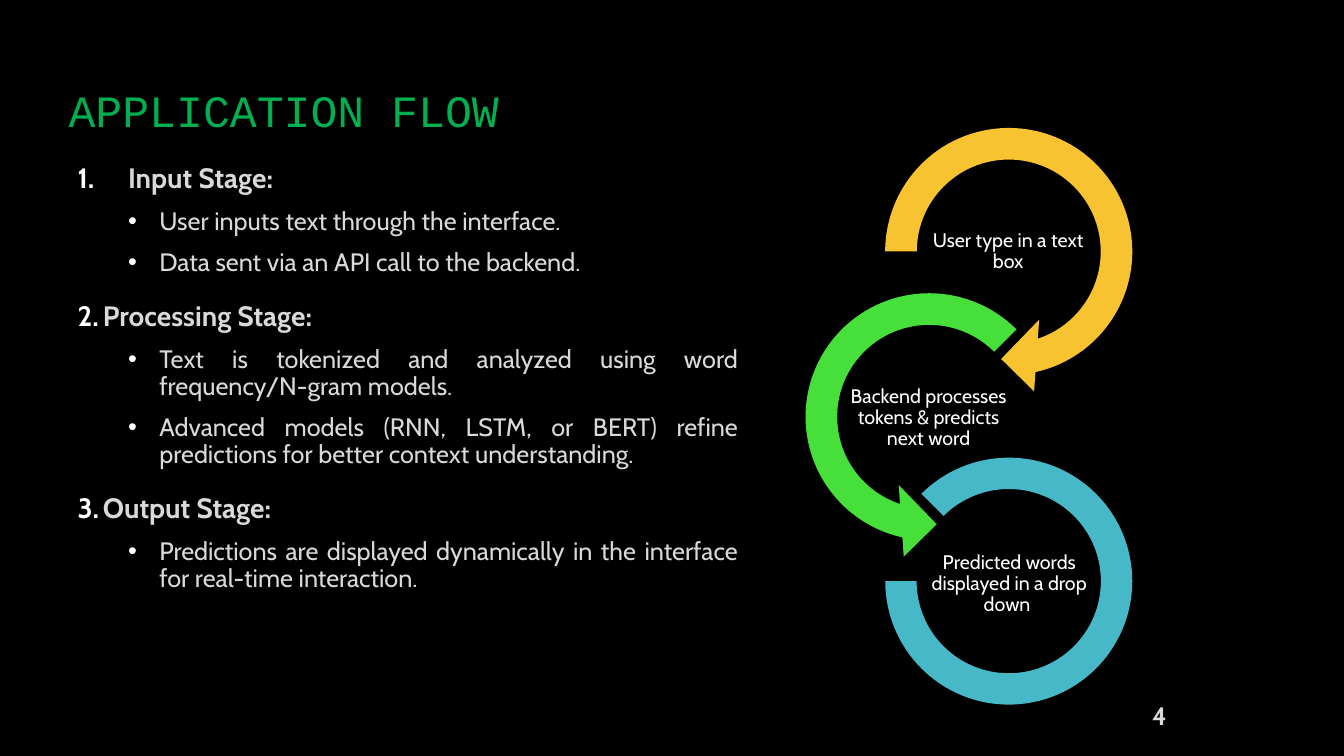
import pptx
import pptx.util
import pptx.dml.color
import pptx.enum.shapes
import pptx.enum.text
import pptx.oxml
import pptx.oxml.ns

Inches, Pt = pptx.util.Inches, pptx.util.Pt
RGB = pptx.dml.color.RGBColor.from_string
SHAPE = pptx.enum.shapes.MSO_SHAPE
ALIGN = pptx.enum.text.PP_ALIGN
ANCHOR = pptx.enum.text.MSO_ANCHOR

COLORS = {
    "background": "000000", "title": "00B050", "body": "D9D9D9", "white": "FFFFFF",
    "input": "F7C331", "processing": "47E03B", "output": "47B8C7",
}
FORMATS = {
    "title": {"name": "Courier New", "size": Pt(32), "bold": False},
    "stage": {"name": "Cabin", "size": Pt(20), "bold": True},
    "detail": {"name": "Cabin", "size": Pt(18), "bold": False},
    "number": {"name": "Cabin", "size": Pt(18), "bold": True},
    "label": {"name": "Cabin", "size": Pt(14), "bold": False},
}


def write(p, text, style, color, align, spacing=0.9):
    r = p.add_run()
    r.text = text
    for key, value in FORMATS[style].items():
        setattr(r.font, key, value)
    r.font.color.rgb = RGB(COLORS[color])
    p.alignment = align
    p.line_spacing = spacing


def set_bullet(p, left, hanging, bullet):
    pPr = p._p.get_or_add_pPr()
    pPr.set("marL", str(Inches(left)))
    pPr.set("indent", str(-Inches(hanging)))
    ns = pptx.oxml.ns.nsdecls("a")
    for xml in (f'<a:buClr {ns}><a:srgbClr val="{COLORS["white"]}"/></a:buClr>', bullet.format(ns=ns)):
        pPr.append(pptx.oxml.parse_xml(xml))


prs = pptx.Presentation()
prs.slide_width, prs.slide_height = Inches(13.33), Inches(7.5)
s = prs.slides.add_slide(prs.slide_layouts[1])
s.background.fill.solid()
s.background.fill.fore_color.rgb = RGB(COLORS["background"])

# Title
title, body = s.shapes.title, s.placeholders[1]
for sp, box in ((title, (0.58, 0.67, 10, 1.25)), (body, (0.67, 1.58, 6.75, 5.08))):
    sp.left, sp.top, sp.width, sp.height = [Inches(v) for v in box]
    sp.text_frame.auto_size = pptx.enum.text.MSO_AUTO_SIZE.NONE
tf = title.text_frame
tf.vertical_anchor = ANCHOR.BOTTOM
tf.margin_bottom = Inches(0.56)
write(tf.paragraphs[0], "APPLICATION FLOW", "title", "title", ALIGN.LEFT)

# Stages: heading, hanging indent, details
stages = [
    ("Input Stage:", 0.5, [
        "User inputs text through the interface.",
        "Data sent via an API call to the backend."]),
    ("Processing Stage:", 0.25, [
        "Text is tokenized and analyzed using word frequency/N-gram models.",
        "Advanced models (RNN, LSTM, or BERT) refine predictions for better context understanding."]),
    ("Output Stage:", 0.25, [
        "Predictions are displayed dynamically in the interface for real-time interaction."]),
]
tf = body.text_frame
for n, (heading, indent, details) in enumerate(stages, 1):
    p = tf.paragraphs[0] if n == 1 else tf.add_paragraph()
    write(p, heading, "stage", "body", ALIGN.JUSTIFY)
    p.space_before = Pt(18)
    set_bullet(p, indent, indent, f'<a:buAutoNum {{ns}} type="arabicPeriod" startAt="{n}"/>')
    for detail in details:
        p = tf.add_paragraph()
        p.level = 1
        write(p, detail, "detail", "body", ALIGN.JUSTIFY)
        p.space_before = Pt(10)
        set_bullet(p, 0.81, 0.31, '<a:buChar {ns} char="•"/>')

# Circular flow: shape, box, adjustments, colour, label, label position
steps = [
    (SHAPE.CIRCULAR_ARROW, (8.58, 1.07, 2.85), (0.11, 11.423, 45, 108, 0.125),
     "input", "User type in a text box", (9.21, 2.1)),
    (SHAPE.LEFT_CIRCULAR_ARROW, (7.79, 2.71, 2.85), (0.11, 11.423, 63, 189, 0.125),
     "processing", "Backend processes tokens & predicts next word", (8.42, 3.75)),
    (SHAPE.BLOCK_ARC, (8.78, 4.54, 2.45), (135, 108, 0.127),
     "output", "Predicted words displayed in a drop down ", (9.22, 5.4)),
]
for kind, (x, y, size), adjustments, color, label, (label_x, label_y) in steps:
    sp = s.shapes.add_shape(kind, Inches(x), Inches(y), Inches(size), Inches(size))
    for i, value in enumerate(adjustments):
        sp.adjustments[i] = value
    sp.shadow.inherit = False
    sp.fill.solid()
    sp.fill.fore_color.rgb = RGB(COLORS[color])
    sp.line.fill.background()

    tf = s.shapes.add_textbox(Inches(label_x), Inches(label_y), Inches(1.58), Inches(0.79)).text_frame
    tf.word_wrap = True
    tf.vertical_anchor = ANCHOR.MIDDLE
    for side in ("left", "top", "right", "bottom"):
        setattr(tf, f"margin_{side}", Inches(0.01))
    write(tf.paragraphs[0], label, "label", "white", ALIGN.CENTER)

# Slide number
tf = s.shapes.add_textbox(Inches(10.75), Inches(6.96), Inches(0.92), Inches(0.28)).text_frame
tf.word_wrap = True
tf.vertical_anchor = ANCHOR.MIDDLE
write(tf.paragraphs[0], "4", "number", "body", ALIGN.RIGHT, 1.0)

prs.save("out.pptx")
